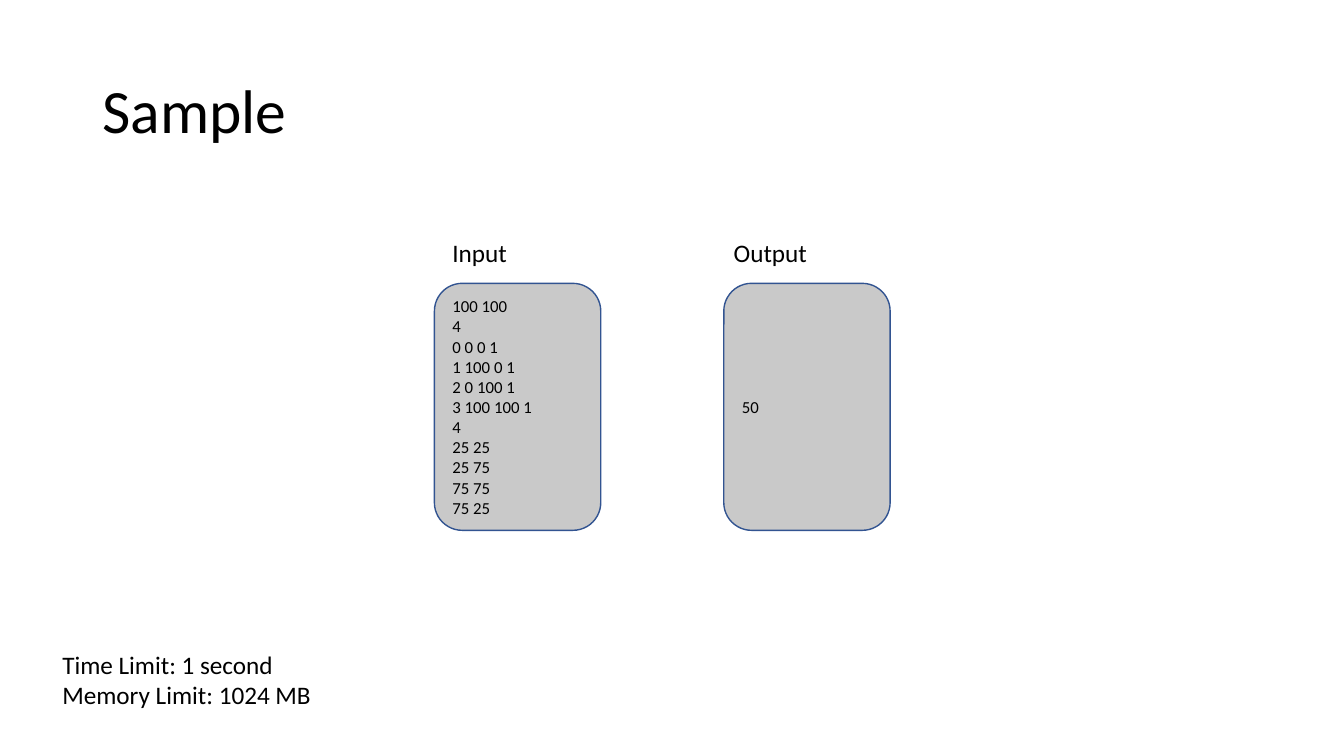
import pptx
import pptx.util
import pptx.dml.color
import pptx.enum.shapes
import pptx.enum.text

Pt = pptx.util.Pt
BLACK = pptx.dml.color.RGBColor(0x00, 0x00, 0x00)
GRAY = pptx.dml.color.RGBColor(0xC9, 0xC9, 0xC9)
BLUE = pptx.dml.color.RGBColor(0x32, 0x54, 0x91)
FONT = "Calibri"
LABEL_TOP = 165.6
PANEL_TOP = 202.4
PANEL_WIDTH = 118.8
PANEL_HEIGHT = 176.4

INPUT_LINES = [
    "100 100",
    "4",
    "0 0 0 1",
    "1 100 0 1",
    "2 0 100 1",
    "3 100 100 1",
    "4",
    "25 25",
    "25 75",
    "75 75",
    "75 25",
]


def write_lines(shape, lines, size, anchor):
    """Fill the shape with one left-aligned paragraph per line."""
    frame = shape.text_frame
    frame.word_wrap = True
    frame.vertical_anchor = anchor
    for index, line in enumerate(lines):
        paragraph = frame.add_paragraph() if index else frame.paragraphs[0]
        paragraph.alignment = pptx.enum.text.PP_ALIGN.LEFT
        run = paragraph.add_run()
        run.text = line
        run.font.name = FONT
        run.font.size = Pt(size)
        run.font.color.rgb = BLACK


def set_title(slide, text):
    title = slide.shapes.title
    title.left, title.top = Pt(66), Pt(28.75)
    title.width, title.height = Pt(828), Pt(104.4)
    write_lines(title, [text], 44, pptx.enum.text.MSO_ANCHOR.MIDDLE)
    title.text_frame.paragraphs[0].line_spacing = 0.9


def add_text(slide, left, top, width, height, lines):
    box = slide.shapes.add_textbox(Pt(left), Pt(top), Pt(width), Pt(height))
    write_lines(box, lines, 18, pptx.enum.text.MSO_ANCHOR.TOP)
    box.text_frame.auto_size = pptx.enum.text.MSO_AUTO_SIZE.SHAPE_TO_FIT_TEXT


def add_panel(slide, left, lines):
    panel = slide.shapes.add_shape(
        pptx.enum.shapes.MSO_SHAPE.ROUNDED_RECTANGLE,
        Pt(left), Pt(PANEL_TOP), Pt(PANEL_WIDTH), Pt(PANEL_HEIGHT))
    panel.shadow.inherit = False
    panel.fill.solid()
    panel.fill.fore_color.rgb = GRAY
    panel.line.color.rgb = BLUE
    panel.line.width = Pt(1)
    write_lines(panel, lines, 12, pptx.enum.text.MSO_ANCHOR.MIDDLE)


def main():
    presentation = pptx.Presentation()
    presentation.slide_width = Pt(960)
    presentation.slide_height = Pt(540)
    slide = presentation.slides.add_slide(presentation.slide_layouts[5])

    set_title(slide, "Sample")
    for label, label_left, panel_left, lines in (
        ("Input", 316, 310.3, INPUT_LINES),
        ("Output", 517, 517, ["50"]),
    ):
        add_text(slide, label_left, LABEL_TOP, 134.6, 29.1, [label])
        add_panel(slide, panel_left, lines)
    add_text(slide, 37.4, 460, 236.9, 50.9,
             ["Time Limit: 1 second", "Memory Limit: 1024 MB"])

    presentation.save("out.pptx")


if __name__ == "__main__":
    main()
